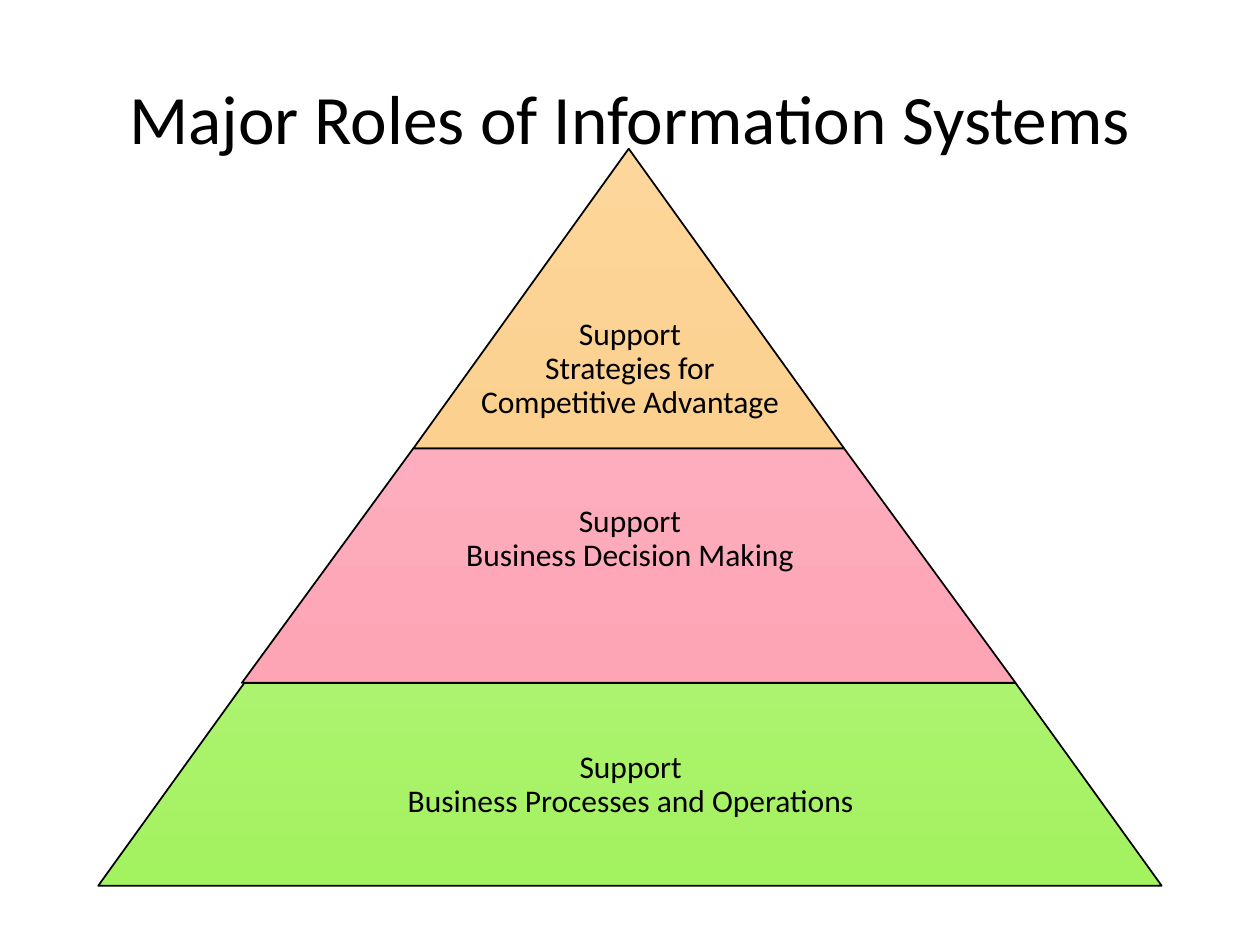
from pptx import Presentation
from pptx.dml.color import RGBColor as RGB
from pptx.enum.text import MSO_ANCHOR as Anchor, MSO_AUTO_SIZE as Auto, PP_ALIGN as Align
from pptx.util import Inches, Pt

BLACK = RGB(0, 0, 0)
PEACH = RGB(0xFC, 0xD6, 0x9A), RGB(0xFC, 0xD1, 0x8F)
PINK = RGB(0xFD, 0xAD, 0xBD), RGB(0xFD, 0xA4, 0xB5)
GREEN = RGB(0xAC, 0xF3, 0x6F), RGB(0xA3, 0xF2, 0x5F)

COLS, ROWS = 100, 75
TITLE = dict(size=Pt(39.6), name="Calibri")
LABEL = dict(size=Pt(18), name="Calibri")
HEAD = dict(word_wrap=True, vertical_anchor=Anchor.MIDDLE)
FIT = dict(word_wrap=False, auto_size=Auto.SHAPE_TO_FIT_TEXT)

TIERS = [
    (PEACH, [(49.9, 11.8), (32.8, 35.6), (67, 35.6)]),
    (PINK, [(67, 35.6), (80.6, 54.2), (19.2, 54.2), (32.8, 35.6)]),
    (GREEN, [(80.6, 54.2), (92.2, 70.3), (7.8, 70.3), (19.4, 54.2)]),
]
LABELS = [
    ((33.6, 24.8, 32.8, 10), ["Support", "Strategies for", "Competitive Advantage"]),
    ((31.5, 39.6, 37, 7), ["Support", "Business Decision Making"]),
    ((25, 59.1, 50.1, 7), ["Support", "Business Processes and Operations"]),
]


def apply(obj, style):
    for key, val in style.items():
        setattr(obj, key, val)


class Deck:
    def __init__(self):
        self.prs = Presentation()
        apply(self.prs, dict(slide_width=Inches(10), slide_height=Inches(7.5)))
        self.slide = self.prs.slides.add_slide(self.prs.slide_layouts[6])

    def x(self, col):
        return round(self.prs.slide_width * col / COLS)

    def y(self, row):
        return round(self.prs.slide_height * row / ROWS)

    def text(self, box, lines, font, frame, space=1.0):
        left, top, wide, high = box
        shape = self.slide.shapes.add_textbox(
            self.x(left), self.y(top), self.x(wide), self.y(high))
        body = shape.text_frame
        apply(body, frame)
        body.text = "\n".join(lines)
        for para in body.paragraphs:
            apply(para, dict(alignment=Align.CENTER, line_spacing=space))
            for run in para.runs:
                apply(run.font, font)
                run.font.color.rgb = BLACK

    def tier(self, tones, points):
        spots = [(self.x(col), self.y(row)) for col, row in points]
        path = self.slide.shapes.build_freeform(*spots[0])
        path.add_line_segments(spots[1:], close=True)
        shape = path.convert_to_shape()
        shape.shadow.inherit = False
        shape.fill.gradient()
        shape.fill.gradient_angle = 270
        for stop, tone, place in zip(shape.fill.gradient_stops, tones, (0, 1)):
            stop.color.rgb = tone
            stop.position = place
        shape.line.color.rgb = BLACK
        shape.line.width = Pt(1)


def main():
    deck = Deck()
    deck.text((5, 3, 90, 12.5), ["Major Roles of Information Systems"], TITLE, HEAD)
    for tones, points in TIERS:
        deck.tier(tones, points)
    for box, lines in LABELS:
        deck.text(box, lines, LABEL, FIT, 0.9)
    deck.prs.save("out.pptx")


if __name__ == "__main__":
    main()
